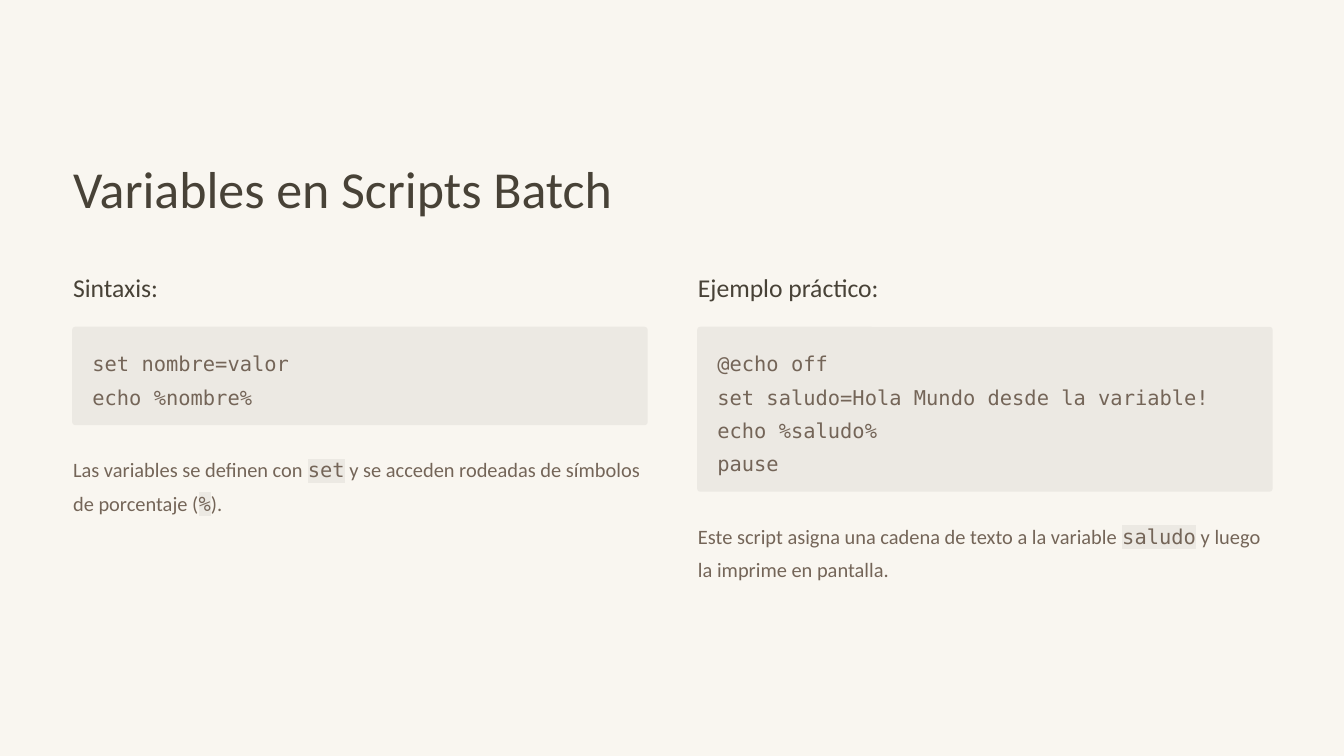
from lxml import etree
from pptx import Presentation
from pptx.dml.color import RGBColor
from pptx.enum.shapes import MSO_SHAPE
from pptx.oxml.ns import qn
from pptx.util import Inches, Pt

# Content: note pieces alternate between prose and inline code
TITLE = "Variables en Scripts Batch"
COLUMNS = [
    {
        "heading": "Sintaxis:",
        "code": ["set nombre=valor", "echo %nombre%"],
        "note": ["Las variables se definen con ", "set",
                 " y se acceden rodeadas de símbolos de porcentaje (", "%", ")."],
    },
    {
        "heading": "Ejemplo práctico:",
        "code": ["@echo off", "set saludo=Hola Mundo desde la variable!",
                 "echo %saludo%", "pause"],
        "note": ["Este script asigna una cadena de texto a la variable ", "saludo",
                 " y luego la imprime en pantalla."],
    },
]

# Style
BACKGROUND, PANEL, DARK, BROWN = "F9F6F0", "ECE9E3", "484237", "746558"
SANS, MONO = "Calibri", "DejaVu Sans Mono"
BODY_SIZE, BODY_LEADING = 17.5, 28.5

# Layout in inches
LEFT, COLUMN_WIDTH, COLUMN_STEP = 0.87, 6.83, 7.44
HEADING_TOP, PANEL_TOP = 3.22, 3.89
LINE_HEIGHT = BODY_LEADING / 72
PAD_X, PAD_Y, NOTE_GAP, EDGE, RADIUS = 0.23, 0.19, 0.28, 0.01, 0.037


def color(value):
    return RGBColor.from_string(value)


def highlight(span):
    mark = etree.Element(qn("a:highlight"))
    etree.SubElement(mark, qn("a:srgbClr"), val=PANEL)
    span.font._element.find(qn("a:solidFill")).addnext(mark)


def add_text(page, left, top, width, height, lines, size, leading, ink, wrap=True):
    """Each line is a list of (text, is_code) pieces."""
    box = page.shapes.add_textbox(Inches(left), Inches(top), Inches(width), Inches(height))
    frame = box.text_frame
    frame.margin_left = frame.margin_right = frame.margin_top = frame.margin_bottom = 0
    frame.word_wrap = wrap
    for index, pieces in enumerate(lines):
        para = frame.paragraphs[0] if index == 0 else frame.add_paragraph()
        para.line_spacing = Pt(leading)
        for text, is_code in pieces:
            span = para.add_run()
            span.text = text
            span.font.size = Pt(size)
            span.font.color.rgb = color(ink)
            span.font.name = MONO if is_code else SANS
            if is_code:
                highlight(span)


def add_panel(page, left, top, width, height):
    panel = page.shapes.add_shape(MSO_SHAPE.ROUNDED_RECTANGLE, Inches(left), Inches(top),
                                  Inches(width), Inches(height))
    panel.adjustments[0] = RADIUS / height
    panel.shadow.inherit = False
    panel.fill.solid()
    panel.fill.fore_color.rgb = color(PANEL)
    panel.line.fill.background()


def add_column(page, left, column):
    code_height = len(column["code"]) * LINE_HEIGHT
    panel_height = code_height + 2 * PAD_Y
    note_top = PANEL_TOP + panel_height + NOTE_GAP

    add_text(page, left, HEADING_TOP, 3.1, 0.39, [[(column["heading"], False)]],
             22, 27.5, DARK, wrap=False)
    add_panel(page, left - EDGE, PANEL_TOP, COLUMN_WIDTH + 2 * EDGE, panel_height)
    add_text(page, left + PAD_X, PANEL_TOP + PAD_Y, COLUMN_WIDTH - 2 * PAD_X, code_height,
             [[(line, True)] for line in column["code"]], BODY_SIZE, BODY_LEADING, BROWN)
    note = [(text, index % 2 == 1) for index, text in enumerate(column["note"])]
    add_text(page, left, note_top, COLUMN_WIDTH, 0.83, [note],
             BODY_SIZE, BODY_LEADING, BROWN)


def main():
    deck = Presentation()
    deck.slide_width, deck.slide_height = Inches(16), Inches(9)
    page = deck.slides.add_slide(deck.slide_layouts[6])
    page.background.fill.solid()
    page.background.fill.fore_color.rgb = color(BACKGROUND)

    # Title, then the two columns
    add_text(page, LEFT, 1.83, 8, 0.78, [[(TITLE, False)]], 44.5, 55.5, DARK, wrap=False)
    for index, column in enumerate(COLUMNS):
        add_column(page, LEFT + index * COLUMN_STEP, column)

    deck.save("out.pptx")


if __name__ == "__main__":
    main()
